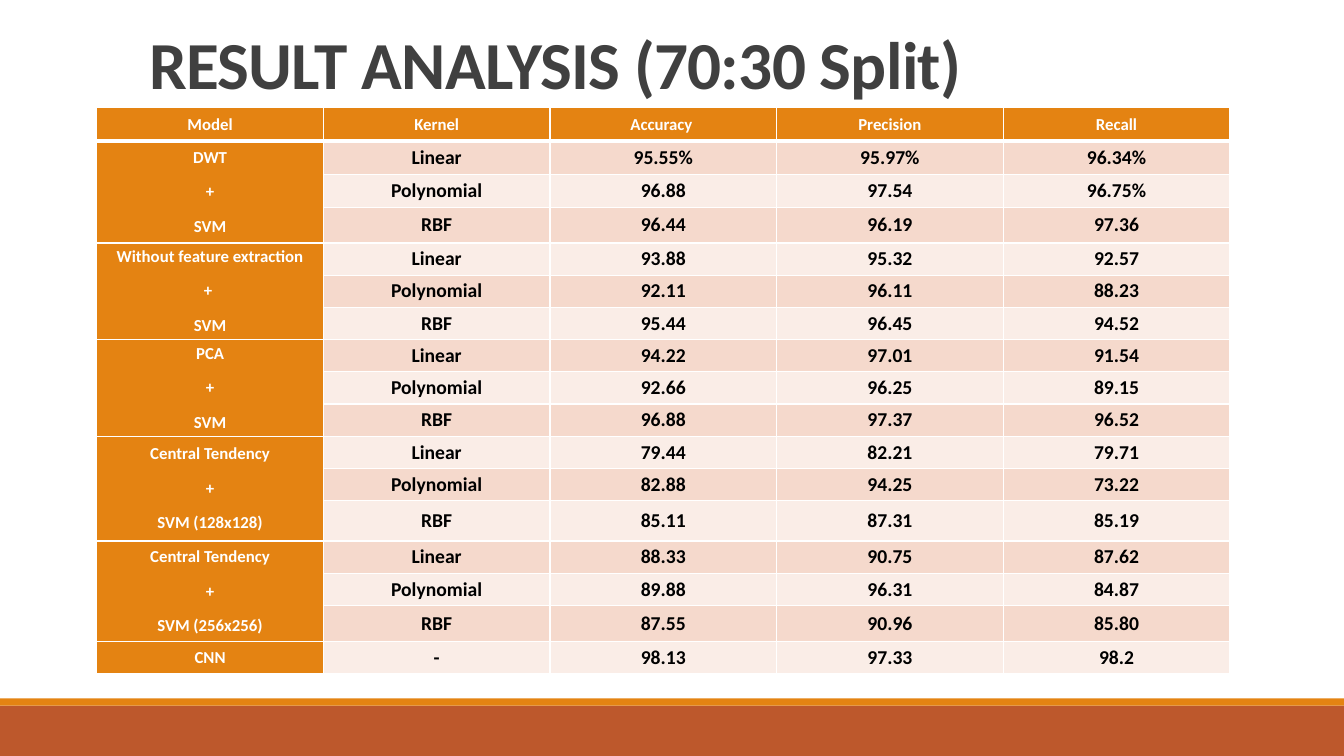
from dataclasses import dataclass

from lxml.etree import SubElement
from pptx import Presentation
from pptx.dml.color import RGBColor
from pptx.enum.shapes import MSO_SHAPE
from pptx.enum.text import MSO_ANCHOR as Anchor, MSO_AUTO_SIZE as AutoSize, PP_ALIGN as Align
from pptx.oxml.ns import qn
from pptx.slide import Slide
from pptx.table import Table, _Cell as Cell
from pptx.text.text import _Paragraph as Paragraph
from pptx.util import Inches, Pt


@dataclass(frozen=True)
class Theme:
    font: str = "Calibri"
    title_color: str = "404040"
    header: str = "E48312"
    footer: str = "BD582C"
    bands: tuple[str, str] = ("FAEDE7", "F5D9CC")
    light: str = "FFFFFF"
    dark: str = "000000"
    title_size: int = 48
    label_size: int = 12
    value_size: int = 14
    grid_width: int = 1
    header_rule: int = 3


@dataclass(frozen=True)
class Model:
    label: tuple[str, ...]
    results: tuple[tuple[str, ...], ...]


@dataclass(frozen=True)
class Stripe:
    top: float
    height: float
    color: str


THEME = Theme()
STRIPES = (Stripe(7, 0.5, THEME.footer), Stripe(6.93, 0.07, THEME.header))
HEADINGS = ("Model", "Kernel", "Accuracy ", "Precision", "Recall")
ROW_HEIGHTS = (0.33, 0.33, 0.33, 0.35, *[0.32] * 8, 0.4, 0.32, 0.32, 0.36, 0.32)
COLUMN_WIDTH = 2.248
MODELS = (
    Model(("DWT", "+", "SVM"), (
        ("Linear", "95.55%", "95.97%", "96.34%"),
        ("Polynomial", "96.88", "97.54", "96.75%"),
        ("RBF", "96.44", "96.19", "97.36"))),
    Model(("Without feature extraction", "+ ", "SVM"), (
        ("Linear", "93.88", "95.32", "92.57"),
        ("Polynomial", "92.11", "96.11", "88.23"),
        ("RBF", "95.44", "96.45", "94.52"))),
    Model(("PCA", "+", "SVM"), (
        ("Linear", "94.22", "97.01", "91.54"),
        ("Polynomial", "92.66", "96.25", "89.15"),
        ("RBF", "96.88", "97.37", "96.52"))),
    Model(("Central Tendency", "+", "SVM (128x128)"), (
        ("Linear", "79.44", "82.21", "79.71"),
        ("Polynomial", "82.88", "94.25", "73.22"),
        ("RBF", "85.11", "87.31", "85.19"))),
    Model(("Central Tendency", "+", "SVM (256x256)"), (
        ("Linear", "88.33", "90.75", "87.62"),
        ("Polynomial", "89.88", "96.31", "84.87"),
        ("RBF", "87.55", "90.96", "85.80"))),
    Model(("CNN",), (("-", "98.13", "97.33", "98.2"),)),
)


def set_font(paragraph: Paragraph, size: int, color: str) -> None:
    font = paragraph.font
    font.name, font.size, font.bold = THEME.font, Pt(size), True
    font.color.rgb = RGBColor.from_string(color)


def draw_stripe(slide: Slide, stripe: Stripe) -> None:
    band = slide.shapes.add_shape(MSO_SHAPE.RECTANGLE, 0, Inches(stripe.top),
                                  Inches(13.33), Inches(stripe.height))
    band.shadow.inherit = False
    band.fill.solid()
    band.fill.fore_color.rgb = RGBColor.from_string(stripe.color)
    band.line.fill.background()


def draw_title(slide: Slide, wording: str) -> None:
    title = slide.shapes.title
    title.left, title.top = Inches(1.38), Inches(0.14)
    title.width, title.height = Inches(11), Inches(0.93)
    frame = title.text_frame
    frame.text = wording
    frame.word_wrap, frame.auto_size = True, AutoSize.NONE
    frame.vertical_anchor = Anchor.BOTTOM
    heading = frame.paragraphs[0]
    heading.alignment, heading.line_spacing = Align.LEFT, 0.85
    set_font(heading, THEME.title_size, THEME.title_color)
    heading._p.get_or_add_pPr().get_or_add_defRPr().set("spc", "-50")


def paint_cell(cell: Cell, color: str, top: int, bottom: int) -> None:
    cell.fill.solid()
    cell.fill.fore_color.rgb = RGBColor.from_string(color)
    properties = cell._tc.get_or_add_tcPr()
    widths = {"L": THEME.grid_width, "R": THEME.grid_width, "T": top, "B": bottom}
    for position, (side, width) in enumerate(widths.items()):
        border = SubElement(properties, qn(f"a:ln{side}"), w=str(Pt(width)))
        solid = SubElement(border, qn("a:solidFill"))
        SubElement(solid, qn("a:srgbClr"), val=THEME.light)
        properties.insert(position, border)


def write_cell(cell: Cell, lines: tuple[str, ...], size: int, color: str) -> None:
    cell.margin_left = cell.margin_right = Inches(0.05)
    cell.margin_top = cell.margin_bottom = 0
    cell.vertical_anchor = Anchor.MIDDLE
    cell.text_frame.text = "\n".join(lines)
    for paragraph in cell.text_frame.paragraphs:
        paragraph.alignment, paragraph.space_after = Align.CENTER, Pt(10)
        set_font(paragraph, size, color)


def paint_grid(table: Table) -> None:
    for row in range(len(ROW_HEIGHTS)):
        for column in range(len(HEADINGS)):
            labelled = row == 0 or column == 0
            paint_cell(table.cell(row, column),
                       THEME.header if labelled else THEME.bands[row % 2],
                       THEME.header_rule if row == 1 else THEME.grid_width,
                       THEME.header_rule if row == 0 else THEME.grid_width)


def draw_results(slide: Slide) -> None:
    table = slide.shapes.add_table(
        len(ROW_HEIGHTS), len(HEADINGS), Inches(0.96), Inches(1.07),
        Inches(COLUMN_WIDTH * len(HEADINGS)), Inches(sum(ROW_HEIGHTS))).table
    table.first_row = table.horz_banding = False
    for column in table.columns:
        column.width = Inches(COLUMN_WIDTH)
    for row, height in zip(table.rows, ROW_HEIGHTS):
        row.height = Inches(height)
    paint_grid(table)
    for column, heading in enumerate(HEADINGS):
        write_cell(table.cell(0, column), (heading,), THEME.label_size, THEME.light)
    first = 1
    for model in MODELS:
        last = first + len(model.results) - 1
        label = table.cell(first, 0)
        if last > first:
            label.merge(table.cell(last, 0))
        write_cell(label, model.label, THEME.label_size, THEME.light)
        for row, result in enumerate(model.results, first):
            for column, value in enumerate(result, 1):
                write_cell(table.cell(row, column), (value,), THEME.value_size, THEME.dark)
        first = last + 1


def main() -> None:
    """Build the result analysis slide and save it."""
    deck = Presentation()
    deck.slide_width, deck.slide_height = Inches(13.33), Inches(7.5)
    slide = deck.slides.add_slide(deck.slide_layouts[5])
    for stripe in STRIPES:
        draw_stripe(slide, stripe)
    draw_title(slide, "RESULT ANALYSIS (70:30 Split)")
    draw_results(slide)
    deck.save("out.pptx")


if __name__ == "__main__":
    main()
